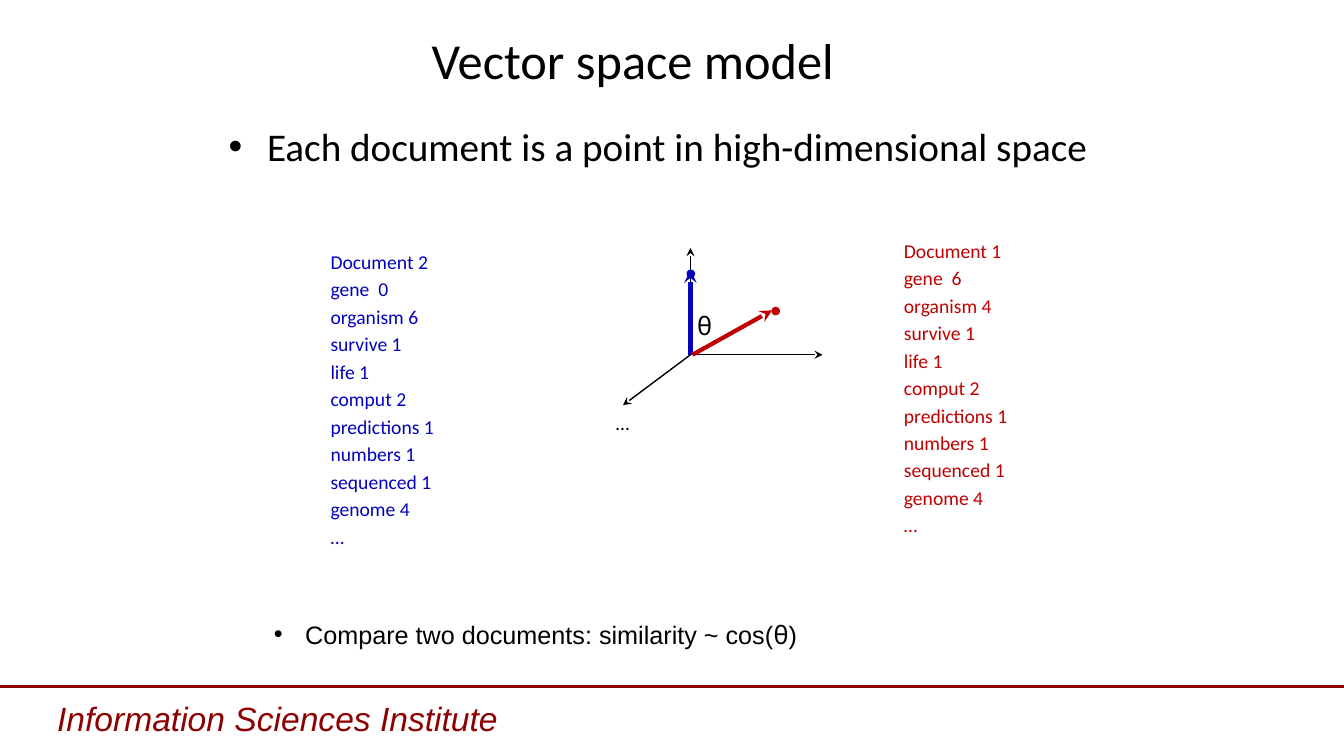
from lxml.etree import SubElement
from pptx import Presentation
from pptx.dml.color import RGBColor
from pptx.enum.shapes import MSO_CONNECTOR as Connector, MSO_SHAPE as Shape
from pptx.enum.text import MSO_ANCHOR as Anchor, PP_ALIGN as Align
from pptx.oxml.ns import qn
from pptx.util import Cm, Pt

BLACK = RGBColor(0x00, 0x00, 0x00)
MAROON = RGBColor(0x8E, 0x00, 0x00)
RED = RGBColor(0xC0, 0x00, 0x00)
BLUE = RGBColor(0x03, 0x03, 0xBD)

# Content (positions in cm)
SLIDE_WIDTH, SLIDE_HEIGHT = 33.87, 19.05
TITLE = "Vector space model"
STATEMENT = "Each document is a point in high-dimensional space"
COMPARISON = [("Compare two documents: similarity ~ cos(", "Arial"),
              ("θ", "Noto Sans"), (")", "Arial")]
INSTITUTE = "Information Sciences Institute"
SHARED_TERMS = ["survive 1", "life 1", "comput 2", "predictions 1",
                "numbers 1", "sequenced 1", "genome 4", "…"]
DOCUMENTS = [
    (22.53, 5.89, RED, ["Document 1", "gene  6", "organism 4"]),
    (8.08, 6.17, BLUE, ["Document 2", "gene  0", "organism 6"]),
]
ORIGIN = (17.4, 8.94)
AXIS_ENDS = [(20.73, 8.94), (15.7, 10.21), (17.4, 6.25)]
# Each vector: start, end, top left of its point, colour
VECTORS = [
    (ORIGIN, (17.4, 6.81), (17.32, 6.81), BLUE),
    ((17.45, 8.94), (19.46, 7.82), (19.46, 7.75), RED),
]
POINT_SIZE = 0.18

presentation = Presentation()
presentation.slide_width = Cm(SLIDE_WIDTH)
presentation.slide_height = Cm(SLIDE_HEIGHT)
slide = presentation.slides.add_slide(presentation.slide_layouts[6])


def add_text(box, paragraphs, size, color, space=0, bullet_indent=None):
    """Add a text box; each paragraph is a list of (text, font) runs."""
    text_frame = slide.shapes.add_textbox(*map(Cm, box)).text_frame
    text_frame.word_wrap = True
    for index, runs in enumerate(paragraphs):
        paragraph = text_frame.add_paragraph() if index else text_frame.paragraphs[0]
        if index:
            paragraph.space_before = Pt(space)
        if bullet_indent:
            add_bullet(paragraph, bullet_indent)
        for text, font in runs:
            run = paragraph.add_run()
            run.text = text
            run.font.name = font
            run.font.size = Pt(size)
            run.font.color.rgb = color
    return text_frame


def add_bullet(paragraph, indent):
    properties = paragraph._p.get_or_add_pPr()
    properties.set("marL", str(Cm(indent)))
    properties.set("indent", str(-Cm(indent)))
    SubElement(properties, qn("a:buFont")).set("typeface", "Arial")
    SubElement(properties, qn("a:buChar")).set("char", "•")


def add_line(start, end, color, width, arrow=True):
    line = slide.shapes.add_connector(Connector.STRAIGHT, *map(Cm, start + end))
    line.line.color.rgb = color
    line.line.width = Pt(width)
    if arrow:
        SubElement(line.line._get_or_add_ln(), qn("a:tailEnd")).set("type", "stealth")
    SubElement(line._element.spPr, qn("a:effectLst"))


def add_point(position, color):
    point = slide.shapes.add_shape(Shape.FLOWCHART_CONNECTOR, *map(Cm, position),
                                   Cm(POINT_SIZE), Cm(POINT_SIZE))
    point.shadow.inherit = False
    point.fill.solid()
    point.fill.fore_color.rgb = color
    point.line.color.rgb = color
    point.line.width = Pt(1)


# Footer
add_line((0, 17.3), (SLIDE_WIDTH, 17.3), MAROON, 2.25, arrow=False)
footer = add_text((1.19, 17.45, 16.69, 1.3), [[(INSTITUTE, "Arial")]], 24, MAROON)
footer.paragraphs[0].runs[0].font.italic = True

# Title and statement
title = add_text((1.7, 0.61, 28.5, 1.78), [[(TITLE, "Calibri")]], 36, BLACK)
title.vertical_anchor = Anchor.MIDDLE
title.paragraphs[0].alignment = Align.CENTER
add_text((5.51, 2.97, 22.86, 3.02), [[(STATEMENT, "Calibri")]], 28, BLACK,
         bullet_indent=0.97)

# Term counts of both documents
for left, top, color, first_terms in DOCUMENTS:
    lines = [[(term, "Calibri")] for term in first_terms + SHARED_TERMS]
    add_text((left, top, 4.52, 7.19), lines, 14, color, space=2.8)

# Axes and document vectors
for axis_end in AXIS_ENDS:
    add_line(ORIGIN, axis_end, BLACK, 1)
for start, end, point_position, color in VECTORS:
    add_point(point_position, color)
    add_line(start, end, color, 3)
add_text((15.27, 10.24, 0.86, 0.86), [[("…", "Calibri")]], 14, BLACK)
add_text((17.32, 7.7, 0.84, 1.02), [[("θ", "Noto Sans")]], 18, BLACK)

# Comparison
add_text((6.65, 15.47, 13.77, 1.02), [COMPARISON], 18, BLACK, bullet_indent=0.79)

presentation.save("out.pptx")
